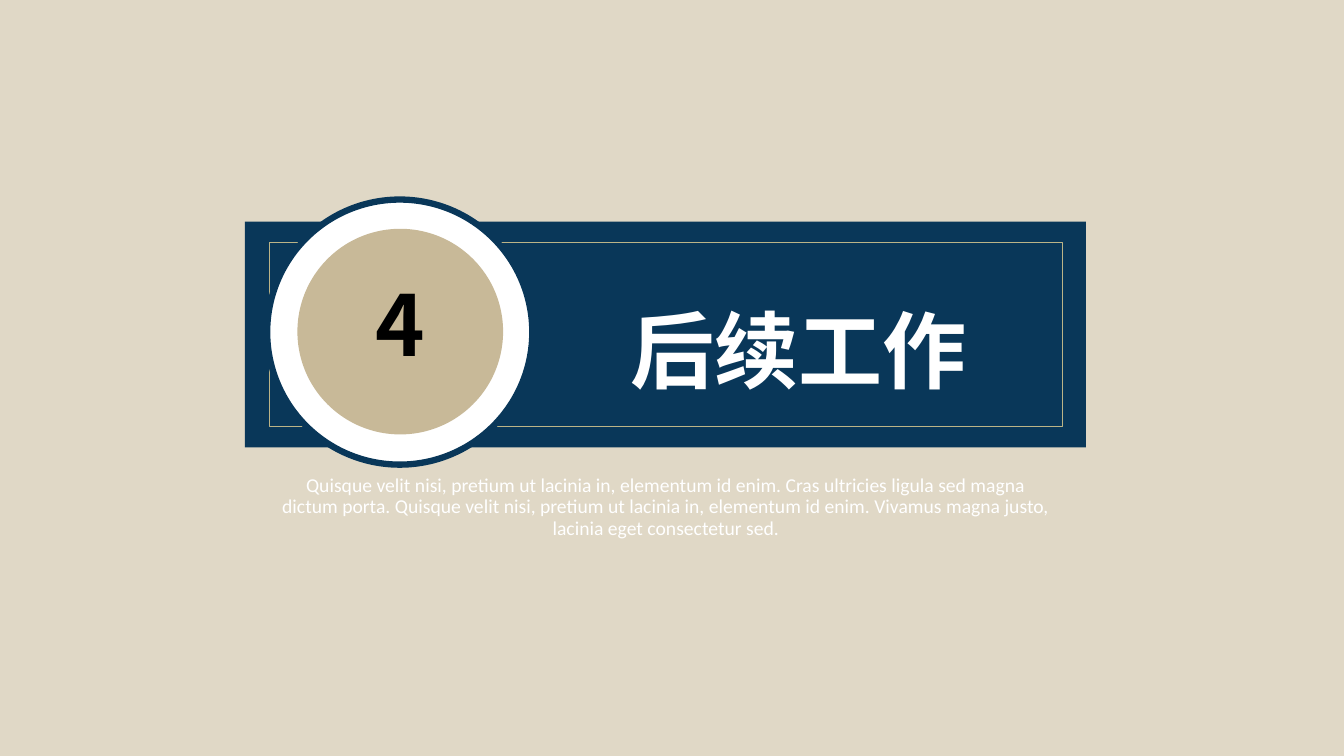
from dataclasses import dataclass

from lxml.etree import SubElement
from pptx import Presentation
from pptx.dml.color import RGBColor
from pptx.enum.shapes import MSO_SHAPE as Preset
from pptx.enum.text import MSO_ANCHOR as Anchor, MSO_AUTO_SIZE as AutoSize, PP_ALIGN as Align
from pptx.oxml.ns import qn
from pptx.util import Inches, Pt


@dataclass(frozen=True)
class Theme:
    background: str = "E0D8C6"
    navy: str = "093759"
    gold: str = "BBB487"
    tan: str = "C8B998"
    white: str = "FFFFFF"
    black: str = "000000"
    font: str = "Calibri"
    chinese_font: str = "Noto Sans CJK SC"
    heading_size: int = 60
    body_size: int = 14


def color(value):
    return RGBColor.from_string(value)


def write(shape, text, *, font, size, fill, east_asian_font, bold=False,
          anchor=Anchor.MIDDLE, space_before=0):
    """Fill the shape with one centred paragraph."""
    frame = shape.text_frame
    frame.word_wrap = True
    frame.auto_size = AutoSize.NONE
    frame.vertical_anchor = anchor
    paragraph = frame.paragraphs[0]
    paragraph.alignment = Align.CENTER
    paragraph.line_spacing = 0.9
    paragraph.space_before = Pt(space_before)
    run = paragraph.add_run()
    run.text = text
    run.font.name = font
    run.font.size = Pt(size)
    run.font.bold = bold
    run.font.color.rgb = color(fill)
    east_asian = SubElement(run.font._element, qn("a:ea"))
    east_asian.set("typeface", east_asian_font)


class SectionSlide:
    def __init__(self, presentation, theme):
        self.theme = theme
        self.slide = presentation.slides.add_slide(presentation.slide_layouts[0])
        background = self.slide.background.fill
        background.solid()
        background.fore_color.rgb = color(theme.background)

    def shape(self, preset, box, fill=None, line=None, line_width=0):
        shape = self.slide.shapes.add_shape(preset, *map(Inches, box))
        shape.shadow.inherit = False
        if fill:
            shape.fill.solid()
            shape.fill.fore_color.rgb = color(fill)
        else:
            shape.fill.background()
        if line:
            shape.line.color.rgb = color(line)
            shape.line.width = Pt(line_width)
        else:
            shape.line.fill.background()
        return shape

    def placeholder(self, index, box, text, **text_format):
        """Place a template placeholder in front of the shapes drawn so far."""
        shape = self.slide.placeholders[index]
        shape.left, shape.top, shape.width, shape.height = map(Inches, box)
        shape.element.getparent().append(shape.element)
        write(shape, text, east_asian_font=self.theme.chinese_font, **text_format)

    def text(self, box, text, **text_format):
        shape = self.slide.shapes.add_textbox(*map(Inches, box))
        write(shape, text, east_asian_font=self.theme.chinese_font, **text_format)


def main():
    theme = Theme()
    presentation = Presentation()
    presentation.slide_width = Inches(13.33)
    presentation.slide_height = Inches(7.5)
    section = SectionSlide(presentation, theme)

    section.shape(Preset.RECTANGLE, (2.43, 2.2, 8.34, 2.24), fill=theme.navy)
    section.shape(Preset.RECTANGLE, (2.67, 2.4, 7.87, 1.83),
                  line=theme.gold, line_width=0.5)
    section.shape(Preset.OVAL, (2.65, 1.98, 2.63, 2.63), fill=theme.white,
                  line=theme.navy, line_width=4.5)
    section.shape(Preset.OVAL, (2.95, 2.27, 2.04, 2.04), fill=theme.tan)

    section.placeholder(
        1, (2.67, 4.67, 7.87, 1.64),
        "Quisque velit nisi, pretium ut lacinia in, elementum id enim. "
        "Cras ultricies ligula sed magna dictum porta. "
        "Quisque velit nisi, pretium ut lacinia in, elementum id enim. "
        "Vivamus magna justo, lacinia eget consectetur sed.",
        font=theme.font, size=theme.body_size, fill=theme.white,
        anchor=Anchor.TOP, space_before=10)
    section.placeholder(0, (5.3, 2.83, 5.24, 1.39), "后续工作", font=theme.font,
                        size=theme.heading_size, fill=theme.white, bold=True)
    section.text((2.95, 2.22, 2.04, 2.09), "4", font=theme.chinese_font,
                 size=theme.heading_size, fill=theme.black, bold=True,
                 space_before=10)

    presentation.save("out.pptx")


if __name__ == "__main__":
    main()
